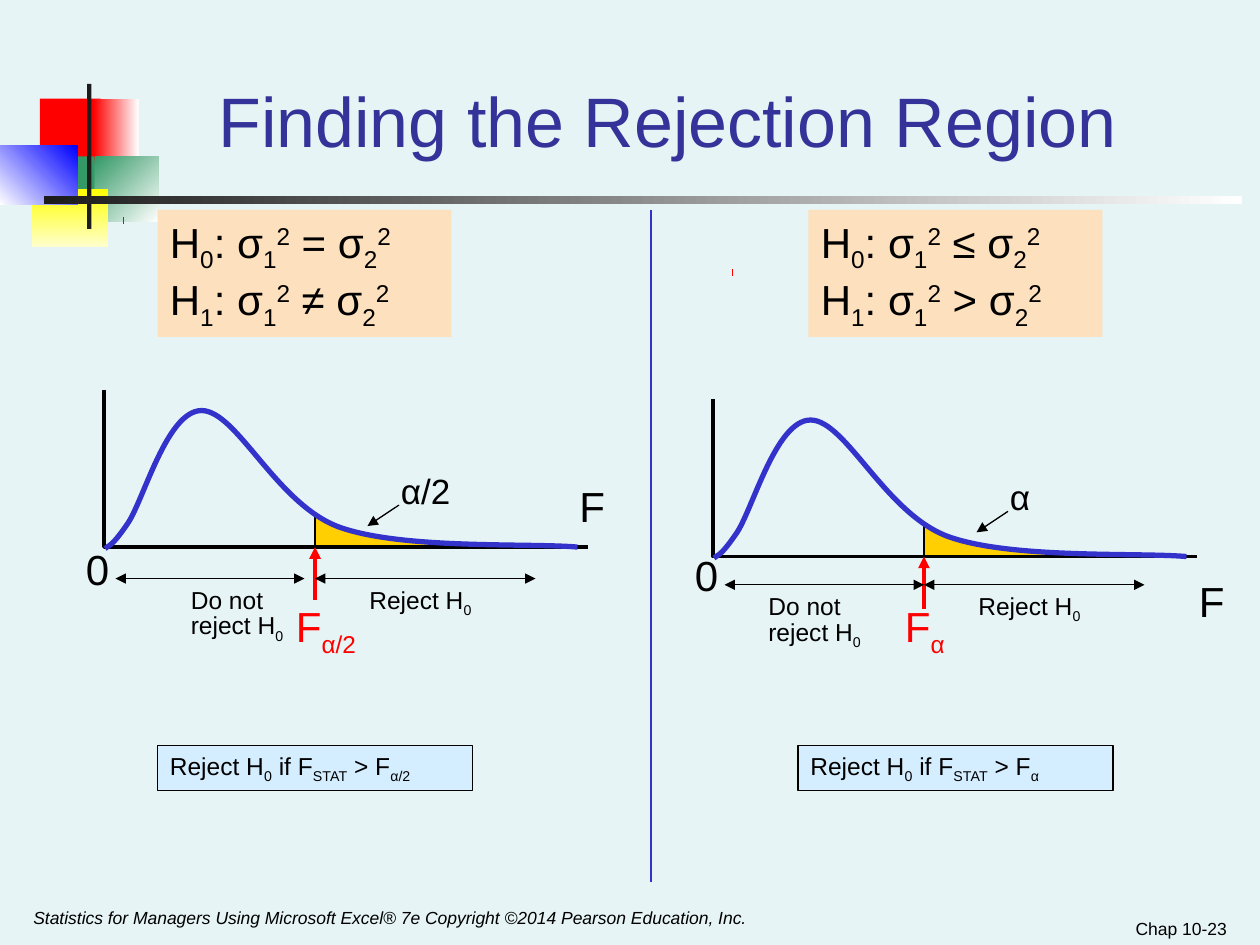
from dataclasses import dataclass

from lxml.etree import SubElement
from pptx import Presentation
from pptx.dml.color import RGBColor
from pptx.enum.shapes import MSO_CONNECTOR, MSO_SHAPE
from pptx.enum.text import MSO_ANCHOR, PP_ALIGN
from pptx.oxml.ns import qn
from pptx.util import Inches, Pt

COLUMNS, ROWS = 120, 90
CELL = Inches(10) / COLUMNS


@dataclass(frozen=True)
class Theme:
    font: str = "Arial"
    page: str = "E7F4F5"
    title: str = "333399"
    ink: str = "000000"
    curve: str = "3333CC"
    critical: str = "FF0000"
    tail: str = "FFCF01"
    hypothesis: str = "FDE0BD"
    decision: str = "D5EEFF"
    title_size: int = 40
    large: int = 24
    medium: int = 20
    small: int = 14
    footer: int = 10
    inset: float = 0.05
    deep_inset: float = 0.22


@dataclass(frozen=True)
class Panel:
    """One test: its symbols and the places that differ between the halves."""
    level: str
    level_width: float
    null_sign: str
    other_sign: str
    shift: float
    chart_drop: float
    label_drop: float
    hypothesis_at: float
    decision_at: float
    axis_name_at: tuple
    keep_label_at: float
    keep_end: float


THEME = Theme()
PANELS = (
    Panel("α/2", 8, "=", "≠", 0, 0, 0, 15, 15, (54, 43.1), 17, 29),
    Panel("α", 6, "≤", ">", 58, 0.9, 0.6, 77, 76, (113, 52.2), 72, 88),
)
BASELINES = {"_": "-25000", "^": "30000"}
TAIL_OUTLINE = [(30, 52.1), (30, 49.1), (33.6, 50.6), (35.1, 50.9), (36.2, 51.1),
                (37.8, 51.25), (40.8, 51.5), (44.3, 51.7), (52.3, 51.9), (52.3, 52.1)]
AXES = [(9.9, 37.1), (9.9, 52.1), (56, 52.1)]
CURVE_CONTROLS = [(10, 52.25), (10.35, 51.9), (10.55, 52.2), (12.1, 49.95),
                  (13.65, 47.8), (15.85, 39.1), (19.2, 39.1),
                  (22.55, 39.1), (26.3, 48), (32.3, 50.2),
                  (38.3, 52.35), (50.3, 51.7), (55, 52.1)]
# left, top, width, height, start colour, end colour, gradient angle
ORNAMENT = [
    (3.8, 9.4, 5.8, 6.2, "FF0000", None, 0),
    (8.9, 9.4, 4.3, 6.2, "FF0000", "FFFFFF", 0),
    (9, 14.9, 6.1, 6.2, "339966", "FFFFFF", 315),
    (5.2, 14.9, 3.8, 6.2, "339966", None, 0),
    (3, 18, 7.3, 5.5, "FFFF00", "FFFFCC", 270),
    (0, 13.9, 7.4, 5.6, "FFFFFF", "0000FF", 45),
    (8.3, 8, 0.4, 13.8, "1C1C1C", None, 0),
    (4.2, 18.7, 114.1, 0.7, "1C1C1C", "FFFFFF", 0),
]


def cells(*values):
    return [round(value * CELL) for value in values]


def rgb(value):
    return RGBColor.from_string(value)


def moved(points, right, down):
    return [(x + right, y + down) for x, y in points]


def paint(shape, fill=None, line=None, width=0.75):
    shape.shadow.inherit = False
    if fill:
        shape.fill.solid()
        shape.fill.fore_color.rgb = rgb(fill)
    else:
        shape.fill.background()
    if line:
        shape.line.color.rgb = rgb(line)
        shape.line.width = Pt(width)
    else:
        shape.line.fill.background()


def add_block(page, place, start, end=None, angle=0, line=None):
    block = page.shapes.add_shape(MSO_SHAPE.RECTANGLE, *cells(*place))
    paint(block, start, line)
    if end:
        block.fill.gradient()
        block.fill.gradient_angle = angle
        for stop, color in zip(block.fill.gradient_stops, (start, end)):
            stop.color.rgb = rgb(color)
    return block


def write(box, lines, size, color=THEME.ink, align=PP_ALIGN.LEFT, anchor=MSO_ANCHOR.TOP,
          italic=False, follow=None, inset=THEME.inset):
    """Fill a box; '|' parts spans, and a leading _ or ^ lowers or raises one."""
    frame = box.text_frame
    frame.word_wrap = True
    frame.vertical_anchor = anchor
    frame.margin_left = frame.margin_right = Inches(0.1)
    frame.margin_top = Inches(inset)
    font_format = {"name": THEME.font, "size": Pt(size), "italic": italic, "bold": False}
    for index, line in enumerate(lines):
        para = frame.add_paragraph() if index else frame.paragraphs[0]
        para.alignment = align
        if index:
            for name, value in (follow or {}).items():
                setattr(para, name, value)
        for part in line.split("|"):
            baseline = BASELINES.get(part[0])
            span = para.add_run()
            span.text = part[1:] if baseline else part
            for name, value in font_format.items():
                setattr(span.font, name, value)
            span.font.color.rgb = rgb(color)
            if baseline:
                span.font._element.set("baseline", baseline)


def add_text(page, place, lines, size, **options):
    write(page.shapes.add_textbox(*cells(*place)), lines, size, **options)


def add_line(page, start, end, color, width, heads=()):
    line = page.shapes.add_connector(MSO_CONNECTOR.STRAIGHT, *cells(*start, *end))
    line.line.color.rgb = rgb(color)
    line.line.width = Pt(width)
    properties = line._element.spPr
    for head in heads:
        SubElement(properties.find(qn("a:ln")), qn(f"a:{head}"), type="triangle")
    SubElement(properties, qn("a:effectLst"))


def add_outline(page, points, closed=False, **colors):
    corners = [cells(*point) for point in points]
    builder = page.shapes.build_freeform(*corners[0])
    builder.add_line_segments(corners[1:], close=closed)
    shape = builder.convert_to_shape()
    paint(shape, **colors)
    return shape


def add_curve(page, controls, **colors):
    """Join every three points after the first into one cubic segment."""
    shape = add_outline(page, controls, **colors)
    outline = next(shape._element.iter(qn("a:pathLst")))[0]
    segments = outline.findall(qn("a:lnTo"))
    for first in range(0, len(segments), 3):
        cubic = SubElement(outline, qn("a:cubicBezTo"))
        for segment in segments[first:first + 3]:
            cubic.append(segment[0])
            outline.remove(segment)


def add_hypotheses(page, panel):
    box = add_block(page, (panel.hypothesis_at, 20, 28, 12.1), THEME.hypothesis)
    signs = enumerate((panel.null_sign, panel.other_sign))
    write(box, [f"H|_{n}|: σ|_1|^2| {sign} σ|_2|^2" for n, sign in signs], THEME.large)


def add_distribution(page, panel):
    shift, drop = panel.shift, panel.chart_drop
    add_outline(page, moved(TAIL_OUTLINE, shift, drop), closed=True, fill=THEME.tail)
    add_line(page, *moved([(30, 49.1), (30, 52.1)], shift, drop), THEME.ink, 1.5)
    add_outline(page, moved(AXES, shift, drop), line=THEME.ink, width=2)
    add_curve(page, moved(CURVE_CONTROLS, shift, drop), line=THEME.curve, width=3)
    add_line(page, *moved([(30, 57.1), (30, 52.1)], shift, drop),
             THEME.critical, 2.25, ["tailEnd"])


def add_labels(page, panel):
    shift, drop = panel.shift, panel.label_drop
    both = ["headEnd", "tailEnd"]
    span_row = 55.1 + drop
    add_line(page, (51 + shift, span_row), (30 + shift, span_row), THEME.ink, 0.75, both)
    add_line(page, (11 + shift, span_row), (panel.keep_end, span_row), THEME.ink, 0.75, both)
    add_line(page, *moved([(38, 48.1), (35, 50.1)], shift, drop), THEME.ink, 0.75, ["tailEnd"])
    add_text(page, (*panel.axis_name_at, 7, 8.4), ["F"], THEME.large, inset=THEME.deep_inset)
    add_text(page, (7 + shift, 49.1 + drop, 6, 8.4), ["0"], THEME.large,
             inset=THEME.deep_inset)
    add_text(page, (37 + shift, 44.1 + drop, panel.level_width, 5.3), [panel.level],
             THEME.medium)
    add_text(page, (27 + shift, 54.6, panel.level_width + 2.5, 8.6), [f"F|_{panel.level}"],
             THEME.large, color=THEME.critical, inset=THEME.deep_inset)
    add_text(page, (34 + shift, span_row, 13, 4.3), ["Reject H|_0"], THEME.small)
    add_text(page, (panel.keep_label_at, span_row, 12, 6.1), ["Do not", "reject H|_0"],
             THEME.small, follow={"line_spacing": 0.2, "space_before": Pt(8.8)})


def add_decision(page, panel):
    box = add_block(page, (panel.decision_at, 71, 30, 4.3), THEME.decision, line=THEME.ink)
    write(box, [f"Reject H|_0| if F|_STAT| > F|_{panel.level}"], THEME.small,
          anchor=MSO_ANCHOR.MIDDLE)


def main():
    deck = Presentation()
    deck.slide_width, deck.slide_height = cells(COLUMNS, ROWS)
    page = deck.slides.add_slide(deck.slide_layouts[6])
    page.background.fill.solid()
    page.background.fill.fore_color.rgb = rgb(THEME.page)
    for *place, start, end, angle in ORNAMENT:
        add_block(page, place, start, end, angle)
    add_text(page, (15.1, 3, 96.9, 13), ["Finding the Rejection Region"], THEME.title_size,
             color=THEME.title, align=PP_ALIGN.CENTER, anchor=MSO_ANCHOR.BOTTOM)
    add_line(page, (62, 20), (62, 84), THEME.curve, 1.5)
    for x, y in ((11.75, 21), (69.75, 26)):
        add_line(page, (x, y), (x + 0.05, y), THEME.critical, 4)
    for panel in PANELS:
        for add_part in (add_hypotheses, add_distribution, add_labels, add_decision):
            add_part(page, panel)
    add_text(page, (2, 85.8, 77, 4.2),
             ["Statistics for Managers Using Microsoft Excel® 7e "
              "Copyright ©2014 Pearson Education, Inc."], THEME.footer, italic=True)
    add_text(page, (90, 85.8, 28, 4.2), ["Chap 10-23"], THEME.footer,
             align=PP_ALIGN.RIGHT, anchor=MSO_ANCHOR.BOTTOM)
    deck.save("out.pptx")


if __name__ == "__main__":
    main()
